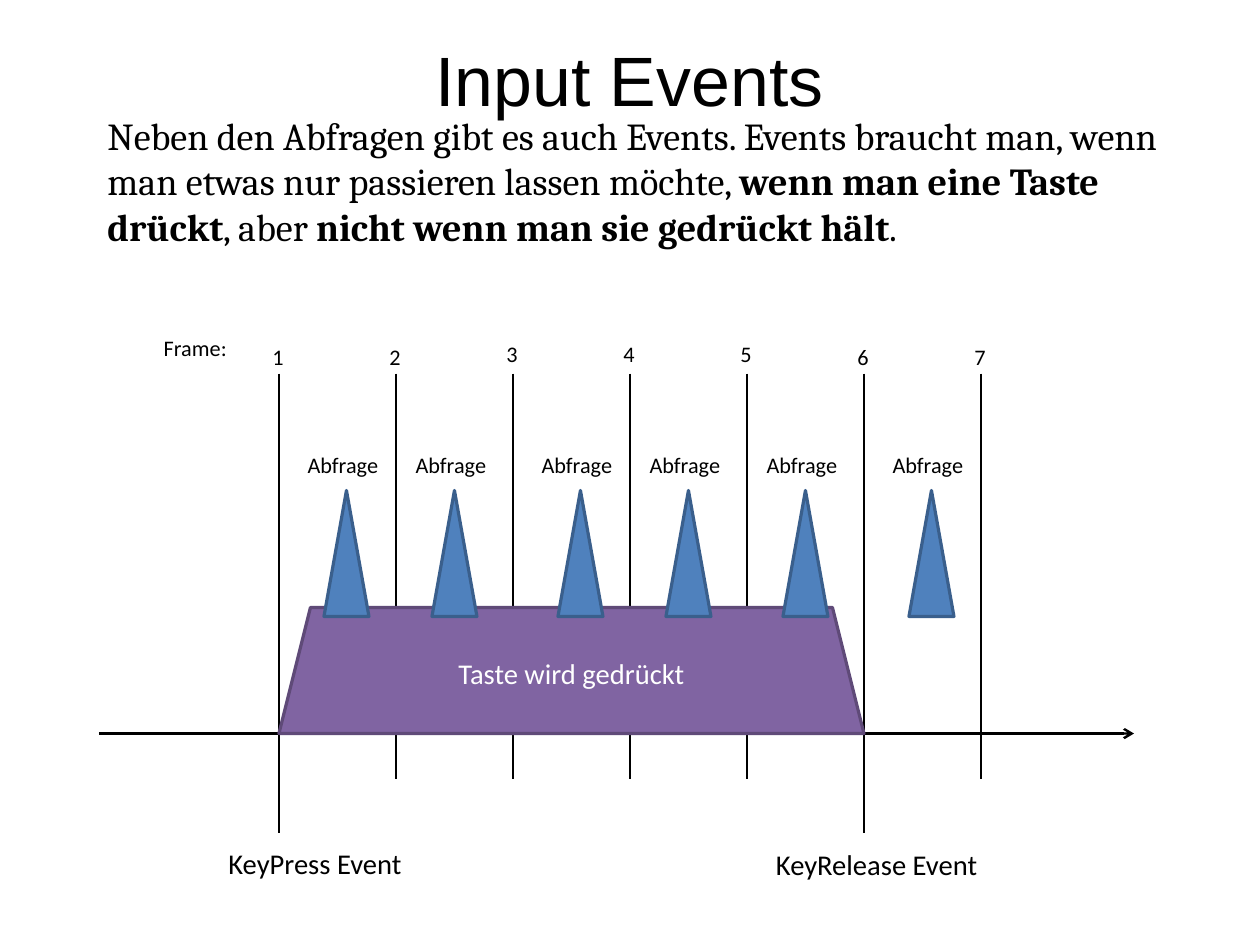
"""Build the slide on input events and frames."""
from dataclasses import dataclass

import lxml.etree
import pptx
import pptx.dml.color
import pptx.enum.shapes
import pptx.enum.text
import pptx.oxml.ns
import pptx.util

Color = pptx.dml.color.RGBColor
Kind = pptx.enum.shapes.MSO_SHAPE
Align = pptx.enum.text.PP_ALIGN
Anchor = pptx.enum.text.MSO_ANCHOR

BLACK = Color(0x00, 0x00, 0x00)
WHITE = Color(0xFF, 0xFF, 0xFF)
BLUE = Color(0x4F, 0x81, 0xBD)
NAVY = Color(0x3A, 0x5F, 0x8C)
PURPLE = Color(0x80, 0x64, 0xA2)
PLUM = Color(0x5F, 0x4A, 0x78)

CELL = 0.2
LEFT, TOP = 6.2, 8.3
STEP = 13
BASE, FOOT, END = 40, 45, 51


@dataclass
class Label:
    """A caption centred on a grid column, with its top on a grid row."""
    text: str
    col: float
    row: float
    wide: float = 10.5
    size: float = 14


@dataclass
class Line:
    """A straight line between two grid points."""
    start: tuple[float, float]
    stop: tuple[float, float]
    width: float = 1
    arrow: bool = False


@dataclass
class Block:
    """A filled shape on the grid."""
    kind: Kind
    col: float
    row: float
    wide: float
    high: float
    fill: Color
    edge: Color
    text: str = ""


POLLS = [5, 17, 31, 43, 56, 70]
LINES = [
    Line((-20, BASE), (95, BASE), 1.5, True),
    *[Line((num * STEP, 0), (num * STEP, FOOT)) for num in range(7)],
    *[Line((num * STEP, FOOT), (num * STEP, END), 0.75) for num in (0, 5)],
]
BLOCKS = [
    Block(Kind.TRAPEZOID, 0, 26, 5 * STEP, 14, PURPLE, PLUM, "Taste wird gedrückt"),
    *[Block(Kind.ISOSCELES_TRIANGLE, col, 13, 5, 14, BLUE, NAVY) for col in POLLS],
]
LABELS = [
    Label("Frame:", -9.3, -5),
    *[Label(str(num + 1), num * STEP - 0.1, -4.3 if num in (2, 3, 4) else -4, 4)
      for num in range(7)],
    *[Label("Abfrage", col + 2.1, 8) for col in POLLS],
    Label("KeyPress Event", 4, 51.9, 22, 18),
    Label("KeyRelease Event", 66.4, 52, 25, 18),
]


def spot(col: float, row: float) -> tuple[int, int]:
    """Turn a grid point into slide lengths."""
    return pptx.util.Cm(LEFT + col * CELL), pptx.util.Cm(TOP + row * CELL)


def span(cells: float) -> int:
    """Turn a number of grid cells into a length."""
    return pptx.util.Cm(cells * CELL)


def write(frame, *parts: str, font: str = "Calibri", size: float = 14, color: Color = BLACK,
          align: Align = Align.CENTER, anchor: Anchor = Anchor.TOP, wrap: bool = True) -> None:
    """Fill a text frame with parts that are plain and bold in turn."""
    frame.auto_size = pptx.enum.text.MSO_AUTO_SIZE.NONE
    frame.word_wrap = wrap
    frame.vertical_anchor = anchor
    line = frame.paragraphs[0]
    line.alignment = align
    line.space_before = pptx.util.Pt(0)
    for index, part in enumerate(parts):
        run = line.add_run()
        run.text = part
        run.font.name = font
        run.font.size = pptx.util.Pt(size)
        run.font.bold = index % 2 == 1
        run.font.color.rgb = color


def place(shape, left: float, top: float, wide: float, high: float) -> None:
    """Move a placeholder and take away its margins."""
    shape.left, shape.top = pptx.util.Inches(left), pptx.util.Inches(top)
    shape.width, shape.height = pptx.util.Inches(wide), pptx.util.Inches(high)
    frame = shape.text_frame
    frame.margin_left = frame.margin_right = frame.margin_top = frame.margin_bottom = 0


def draw_line(slide, line: Line) -> None:
    """Draw one line, with an open arrowhead if asked."""
    straight = pptx.enum.shapes.MSO_CONNECTOR.STRAIGHT
    shape = slide.shapes.add_connector(straight, *spot(*line.start), *spot(*line.stop))
    shape.line.color.rgb = BLACK
    shape.line.width = pptx.util.Pt(line.width)
    props = shape.element.spPr
    if line.arrow:
        edge = props.find(pptx.oxml.ns.qn("a:ln"))
        lxml.etree.SubElement(edge, pptx.oxml.ns.qn("a:tailEnd"), type="arrow")
    lxml.etree.SubElement(props, pptx.oxml.ns.qn("a:effectLst"))


def draw_block(slide, block: Block) -> None:
    """Draw one filled shape and its text."""
    shape = slide.shapes.add_shape(block.kind, *spot(block.col, block.row),
                                   span(block.wide), span(block.high))
    shape.shadow.inherit = False
    shape.fill.solid()
    shape.fill.fore_color.rgb = block.fill
    shape.line.color.rgb = block.edge
    shape.line.width = pptx.util.Pt(2)
    if block.text:
        write(shape.text_frame, block.text, size=18, color=WHITE, anchor=Anchor.MIDDLE)


def draw_label(slide, label: Label) -> None:
    """Draw one caption."""
    box = slide.shapes.add_textbox(*spot(label.col - label.wide / 2, label.row),
                                   span(label.wide), pptx.util.Pt(label.size * 1.2 + 7.2))
    write(box.text_frame, label.text, size=label.size, wrap=False)


def main() -> None:
    """Build and save the slide."""
    deck = pptx.Presentation()
    deck.slide_width, deck.slide_height = pptx.util.Cm(28), pptx.util.Cm(21)
    slide = deck.slides.add_slide(deck.slide_layouts[1])

    title, body = slide.placeholders
    place(title, 0.55, 0, 9.92, 1.38)
    write(title.text_frame, "Input Events", font="Arial", size=44, anchor=Anchor.MIDDLE)

    place(body, 0.47, 0.98, 9.92, 7.28)
    props = body.text_frame.paragraphs[0]._p.get_or_add_pPr()
    props.set("marL", str(pptx.util.Inches(0.47)))
    props.set("indent", "0")
    lxml.etree.SubElement(props, pptx.oxml.ns.qn("a:buNone"))
    write(body.text_frame,
          "Neben den Abfragen gibt es auch Events. Events braucht man, wenn man etwas nur "
          "passieren lassen möchte, ", "wenn man eine Taste drückt", ", aber ",
          "nicht wenn man sie gedrückt hält", ".",
          font="Cambria", size=24, align=Align.LEFT)

    for line in LINES:
        draw_line(slide, line)
    for block in BLOCKS:
        draw_block(slide, block)
    for label in LABELS:
        draw_label(slide, label)
    deck.save("out.pptx")


if __name__ == "__main__":
    main()
